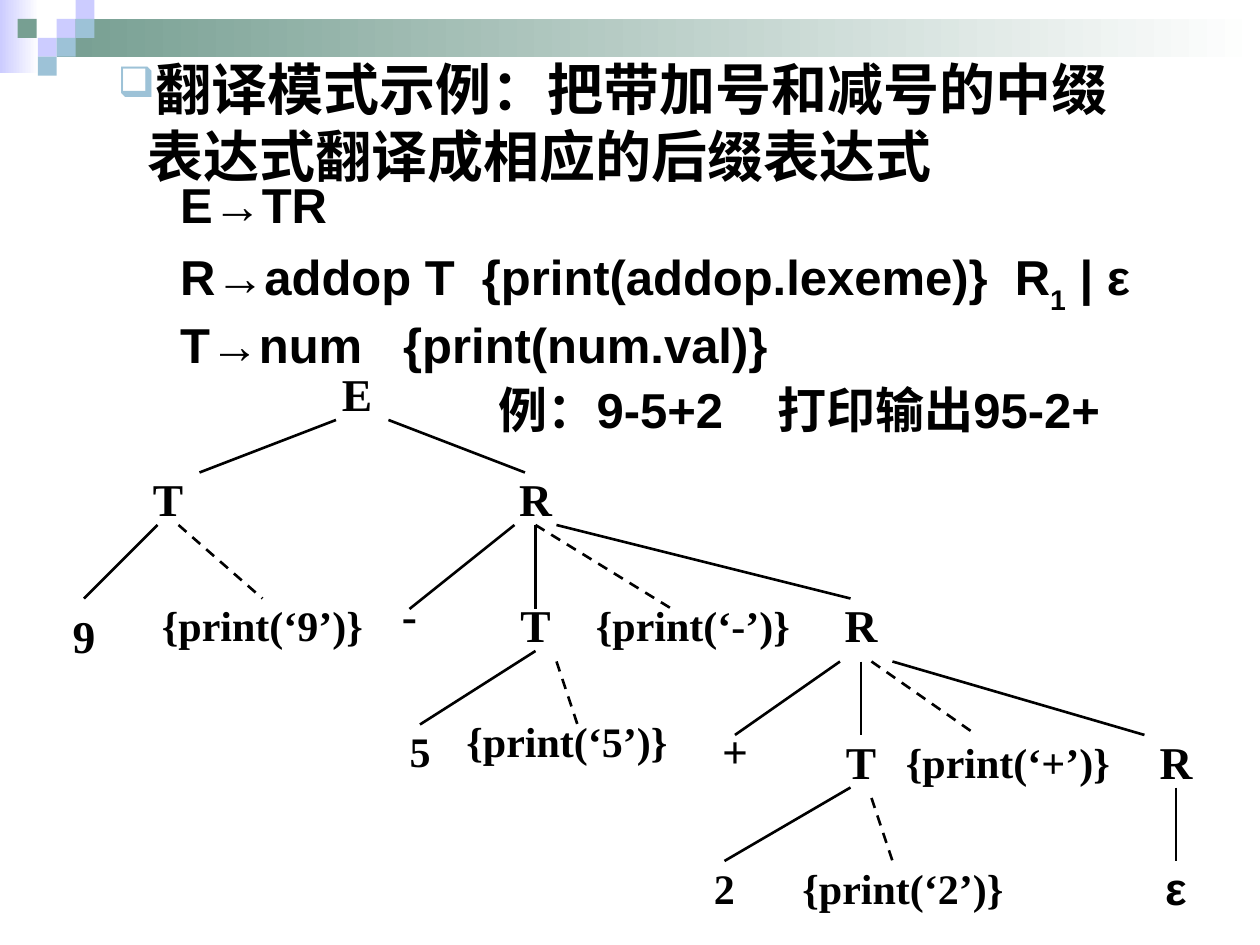
from typing import NamedTuple

from lxml import etree
from pptx import Presentation
from pptx.dml.color import RGBColor
from pptx.enum import dml, shapes, text
from pptx.oxml import ns
from pptx.util import Pt


class Theme:
    black = RGBColor(0, 0, 0)
    lavender = RGBColor(0xCC, 0xCC, 0xFF)
    green = RGBColor(0x77, 0x9F, 0x92)
    blue = RGBColor(0x9D, 0xC2, 0xD7)
    white = RGBColor(0xFF, 0xFF, 0xFF)
    sans, serif = "Arial", "Times New Roman"
    title, body, node, action = 32, 28, 26, 24
    line = 1.5


class Tile(NamedTuple):
    left: float
    top: float
    color: RGBColor


class Node(NamedTuple):
    words: str
    center: float
    top: float
    size: float = Theme.node
    font: str = Theme.serif
    width: float = 72


class Edge(NamedTuple):
    x1: float
    y1: float
    x2: float
    y2: float
    dashed: bool = False


class Span(NamedTuple):
    words: str
    spacing: float = 0
    subscript: bool = False


class Rule(NamedTuple):
    spans: tuple
    indent: float = 0


def action(symbol: str, center: float, top: float) -> Node:
    return Node(f"{{print(‘{symbol}’)}}", center, top, Theme.action, width=144)


def gap(extra: float) -> Span:
    """One space, widened by letter spacing."""
    return Span(" ", extra)


TILE = 10.8
TILES = [
    Tile(32.4, 10.8, Theme.lavender), Tile(43.2, 0, Theme.lavender),
    Tile(43.2, 10.8, Theme.blue), Tile(21.6, 21.6, Theme.lavender),
    Tile(10.1, 10.8, Theme.green), Tile(32.4, 21.6, Theme.blue),
    Tile(21.6, 32.4, Theme.blue),
]
TITLE = "翻译模式示例：把带加号和减号的中缀表达式翻译成相应的后缀表达式"
RULES = [
    Rule((Span("E→TR"),)),
    Rule((Span("R→addop T"), gap(7.8), Span("{print(addop.lexeme)}"), gap(7.8),
          Span("R"), Span("1", subscript=True), Span(" | ε"))),
    Rule((Span("T→num"), gap(15.6), Span("{print(num.val)}"))),
    Rule((Span("例：9-5+2"), gap(23.4), Span("打印输出95-2+")), 182),
]
NODE_HEIGHT = 42
NODES = [
    Node("E", 204, 204),
    Node("T", 96, 264), Node("R", 306, 264),
    Node("9", 48, 342), action("9", 150, 336),
    Node("-", 234, 330), Node("T", 306, 336),
    action("-", 396, 336), Node("R", 492, 336),
    Node("5", 240, 408, Theme.action), action("5", 324, 402),
    Node("+", 420, 408), Node("T", 492, 414),
    action("+", 576, 414), Node("R", 672, 414),
    Node("2", 414, 486, Theme.action), action("2", 516, 486),
    Node("ε", 672, 486, font=Theme.sans),
]
EDGES = [
    Edge(192, 240, 114, 270), Edge(222, 240, 300, 270),
    Edge(90, 300, 48, 342), Edge(102, 300, 150, 342, True),
    Edge(294, 300, 234, 348), Edge(306, 300, 306, 348),
    Edge(306, 300, 384, 348, True), Edge(318, 300, 486, 342),
    Edge(306, 372, 240, 414), Edge(318, 378, 330, 414, True),
    Edge(480, 378, 420, 420), Edge(492, 378, 492, 420),
    Edge(498, 378, 558, 420, True), Edge(510, 378, 654, 420),
    Edge(486, 450, 414, 492), Edge(498, 456, 510, 492, True),
    Edge(672, 450, 672, 492),
]


def place(shape, left: float, top: float, width: float, height: float) -> None:
    shape.left, shape.top = Pt(left), Pt(top)
    shape.width, shape.height = Pt(width), Pt(height)


def style(para, size: float, font: str) -> None:
    para.font.size, para.font.name, para.font.bold = Pt(size), font, True
    para.font.color.rgb = Theme.black


def add_child(parent, tag: str, **attributes: str):
    return etree.SubElement(parent, ns.qn(tag), attributes)


def set_indent(para, margin: float, indent: float):
    props = para._p.get_or_add_pPr()
    props.set("marL", str(Pt(margin)))
    props.set("indent", str(Pt(indent)))
    return props


def add_block(page, left: float, top: float, width: float, height: float,
              color: RGBColor, fade: bool = False) -> None:
    block = page.shapes.add_shape(shapes.MSO_SHAPE.RECTANGLE, Pt(left), Pt(top),
                                  Pt(width), Pt(height))
    block.shadow.inherit = False
    block.line.fill.background()
    if fade:
        block.fill.gradient()
        block.fill.gradient_angle = 0
        for stop, shade in zip(block.fill.gradient_stops, (color, Theme.white)):
            stop.color.rgb = shade
    else:
        block.fill.solid()
        block.fill.fore_color.rgb = color


def fill_title(title) -> None:
    place(title, 60, 26, 612, 87)
    frame = title.text_frame
    frame.auto_size = text.MSO_AUTO_SIZE.NONE
    frame.vertical_anchor = text.MSO_ANCHOR.MIDDLE
    frame.margin_right = Pt(14)
    para = frame.paragraphs[0]
    para.text = TITLE
    para.alignment = text.PP_ALIGN.LEFT
    props = set_indent(para, 17, -17)
    color = add_child(props, "a:buClr")
    add_child(color, "a:srgbClr", val=str(Theme.blue))
    add_child(props, "a:buSzPct", val="75000")
    add_child(props, "a:buChar", char="❑")
    style(para, Theme.title, Theme.sans)


def fill_rules(body) -> None:
    place(body, 88, 100, 610, 156)
    frame = body.text_frame
    frame.auto_size = text.MSO_AUTO_SIZE.NONE
    frame.margin_left = Pt(15)
    for number, rule in enumerate(RULES):
        para = frame.add_paragraph() if number else frame.paragraphs[0]
        add_child(set_indent(para, rule.indent, 0), "a:buNone")
        para.line_spacing = 0.9
        para.space_before = Pt(7 if number else 0)
        style(para, Theme.body, Theme.sans)
        for span in rule.spans:
            run = para.add_run()
            run.text = span.words
            if span.spacing:
                run.font._element.set("spc", str(round(span.spacing * 100)))
            if span.subscript:
                run.font._element.set("baseline", "-30000")


def add_node(page, node: Node):
    box = page.shapes.add_textbox(Pt(node.center - node.width / 2), Pt(node.top),
                                  Pt(node.width), Pt(NODE_HEIGHT))
    frame = box.text_frame
    frame.word_wrap = False
    frame.vertical_anchor = text.MSO_ANCHOR.MIDDLE
    para = frame.paragraphs[0]
    para.text = node.words
    para.alignment = text.PP_ALIGN.CENTER
    style(para, node.size, node.font)
    return box


def add_edge(page, edge: Edge, boxes: dict) -> None:
    """Draw a branch, joined to the box whose top middle it reaches."""
    line = page.shapes.add_connector(shapes.MSO_CONNECTOR.STRAIGHT, Pt(edge.x1),
                                     Pt(edge.y1), Pt(edge.x2), Pt(edge.y2))
    line.line.color.rgb = Theme.black
    line.line.width = Pt(Theme.line)
    if edge.dashed:
        line.line.dash_style = dml.MSO_LINE.DASH
    add_child(line._element.spPr, "a:effectLst")
    if (edge.x2, edge.y2) in boxes:
        line.end_connect(boxes[edge.x2, edge.y2], 0)


def main() -> None:
    deck = Presentation()
    deck.slide_width, deck.slide_height = Pt(720), Pt(540)
    page = deck.slides.add_slide(deck.slide_layouts[1])
    add_block(page, 0, 0, 22.3, 41.8, Theme.lavender, fade=True)
    add_block(page, 32.4, 10.8, 687.6, 21.6, Theme.green, fade=True)
    for tile in TILES:
        add_block(page, tile.left, tile.top, TILE, TILE, tile.color)
    fill_title(page.shapes.title)
    fill_rules(page.placeholders[1])
    boxes = {(node.center, node.top): add_node(page, node) for node in NODES}
    for edge in EDGES:
        add_edge(page, edge, boxes)
    deck.save("out.pptx")


if __name__ == "__main__":
    main()
